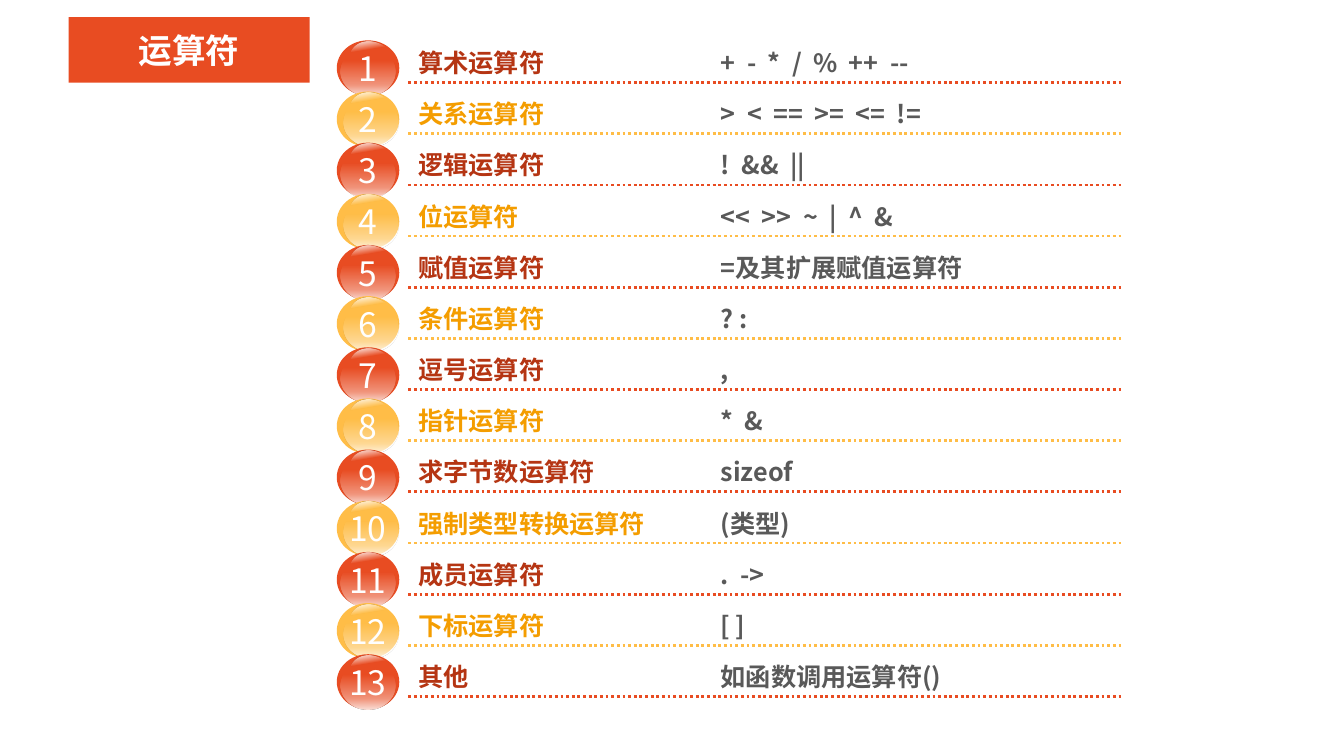
from dataclasses import dataclass

from pptx import Presentation
from pptx import oxml
from pptx.dml import color
from pptx.enum import dml, shapes, text
from pptx.oxml import ns
from pptx.util import Inches, Pt


@dataclass(frozen=True)
class Theme:
    red: str = "E84C22"
    gold: str = "FFBD47"
    rust: str = "B53513"
    amber: str = "F49D00"
    gray: str = "595959"
    white: str = "FFFFFF"
    font: str = "Noto Sans CJK SC"
    head: str = "Arial Narrow"
    large: int = 24
    body: int = 18
    rule: int = 2


@dataclass(frozen=True)
class Box:
    left: float
    top: float
    width: float
    height: float

    def place(self) -> tuple:
        return tuple(map(Inches, (self.left, self.top, self.width, self.height)))


@dataclass(frozen=True)
class Row:
    name: str
    signs: str
    width: float = 5.12


@dataclass(frozen=True)
class Gloss:
    box: Box
    stops: tuple
    angle: int
    turn: float = 0


THEME = Theme()
TOP, LAST = 0.4, 6.49
LEFT, RIGHT = 4.05, 11.14
TAB = 3
ROWS = (
    Row("算术运算符", "+  -  *  /  %  ++  --", 6.12),
    Row("关系运算符", ">  <  ==  >=  <=  !=", 6.12),
    Row("逻辑运算符", "!  &&  ||"),
    Row("位运算符", "<<  >>  ~  |  ^  &", 6.36),
    Row("赋值运算符", "=及其扩展赋值运算符", 6.12),
    Row("条件运算符", "? :"),
    Row("逗号运算符", ","),
    Row("指针运算符", "*  &"),
    Row("求字节数运算符", "sizeof"),
    Row("强制类型转换运算符", "(类型)", 6.5),
    Row("成员运算符", ".  ->"),
    Row("下标运算符", "[ ]"),
    Row("其他", "如函数调用运算符()", 6.93),
)
STEP = (LAST - TOP) / (len(ROWS) - 1)


def tint(code: str) -> color.RGBColor:
    return color.RGBColor.from_string(code)


def style(run, size: int, code: str, bold: bool = False, face: str = THEME.font) -> None:
    font = run.font
    font.size, font.bold, font.name = Pt(size), bold, face
    font.color.rgb = tint(code)
    east = oxml.parse_xml(f'<a:ea {ns.nsdecls("a")} typeface="{THEME.font}"/>')
    run._r.rPr.find(ns.qn("a:latin")).addnext(east)


def draw(host, kind, box: Box, code: str):
    shape = host.add_shape(kind, *box.place())
    shape.shadow.inherit = False
    shape.fill.solid()
    shape.fill.fore_color.rgb = tint(code)
    shape.line.fill.background()
    return shape


def label(shape, words: str, side: float, edge: float, bold: bool, face: str) -> None:
    frame = shape.text_frame
    frame.text = words
    frame.word_wrap = True
    frame.vertical_anchor = text.MSO_ANCHOR.MIDDLE
    frame.margin_left = frame.margin_right = Inches(side)
    frame.margin_top = frame.margin_bottom = Inches(edge)
    line = frame.paragraphs[0]
    line.alignment = text.PP_ALIGN.CENTER
    style(line.runs[0], THEME.large, THEME.white, bold, face)


def shine(host, gloss: Gloss) -> None:
    shape = draw(host, shapes.MSO_SHAPE.OVAL, gloss.box, THEME.white)
    shape.rotation = gloss.turn
    stops = "".join(
        f'<a:gs pos="{spot * 1000}"><a:srgbClr val="{THEME.white}">'
        f'<a:alpha val="{alpha * 1000}"/></a:srgbClr></a:gs>'
        for spot, alpha in gloss.stops
    )
    grade = oxml.parse_xml(
        f'<a:gradFill {ns.nsdecls("a")} rotWithShape="1"><a:gsLst>{stops}</a:gsLst>'
        f'<a:lin ang="{gloss.angle * 60000}" scaled="0"/></a:gradFill>'
    )
    props = shape._element.spPr
    props.replace(props.find(ns.qn("a:solidFill")), grade)


def rule(host, level: float, code: str) -> None:
    line = host.add_connector(
        shapes.MSO_CONNECTOR.STRAIGHT,
        Inches(LEFT), Inches(level), Inches(RIGHT), Inches(level),
    )
    line.line.color.rgb = tint(code)
    line.line.width = Pt(THEME.rule)
    line.line.dash_style = dml.MSO_LINE.ROUND_DOT
    line._element.spPr.append(oxml.parse_xml(f'<a:effectLst {ns.nsdecls("a")}/>'))


def entry(host, row: Row, level: float, code: str) -> None:
    box = Box(LEFT, level - 0.38, row.width, 0.38)
    frame = host.add_textbox(*box.place()).text_frame
    frame.word_wrap = True
    frame.vertical_anchor = text.MSO_ANCHOR.BOTTOM
    line = frame.paragraphs[0]
    line.text = row.name + "\t"
    line.add_run().text = row.signs
    for run, shade in zip(line.runs, (code, THEME.gray)):
        style(run, THEME.body, shade, True)
    line._p.get_or_add_pPr().append(oxml.parse_xml(
        f'<a:tabLst {ns.nsdecls("a")}><a:tab pos="{Inches(TAB)}" algn="l"/></a:tabLst>'
    ))


def item(slide, index: int, row: Row) -> None:
    odd = index % 2 == 0
    fill, ink = (THEME.red, THEME.rust) if odd else (THEME.gold, THEME.amber)
    top = TOP + index * STEP
    level = top + 0.42
    host = slide.shapes.add_group_shape().shapes
    ball = draw(host, shapes.MSO_SHAPE.OVAL, Box(3.34, top, 0.62, 0.55), fill)
    label(ball, str(index + 1), 0, 0.05, False, THEME.font)
    rule(host, level, fill)
    glare = Box(3.45, top + 0.03, 0.51, 0.41)
    glow = Box(3.38 if odd else 3.41, top + 0.07, 0.54, 0.48)
    shine(host, Gloss(glare, ((0, 0), (16, 88), (30, 0)), 45, 35.7))
    shine(host, Gloss(glow, ((28, 0), (78, 41), (98, 79)), 90))
    entry(host, row, level, ink)


def main() -> None:
    deck = Presentation()
    deck.slide_width, deck.slide_height = Inches(13.33), Inches(7.5)
    slide = deck.slides.add_slide(deck.slide_layouts[6])
    for index, row in enumerate(ROWS):
        item(slide, index, row)
    title = draw(slide.shapes, shapes.MSO_SHAPE.RECTANGLE, Box(0.68, 0.17, 2.39, 0.65), THEME.red)
    label(title, "运算符", 0, 0, True, THEME.head)
    deck.save("out.pptx")


if __name__ == "__main__":
    main()
